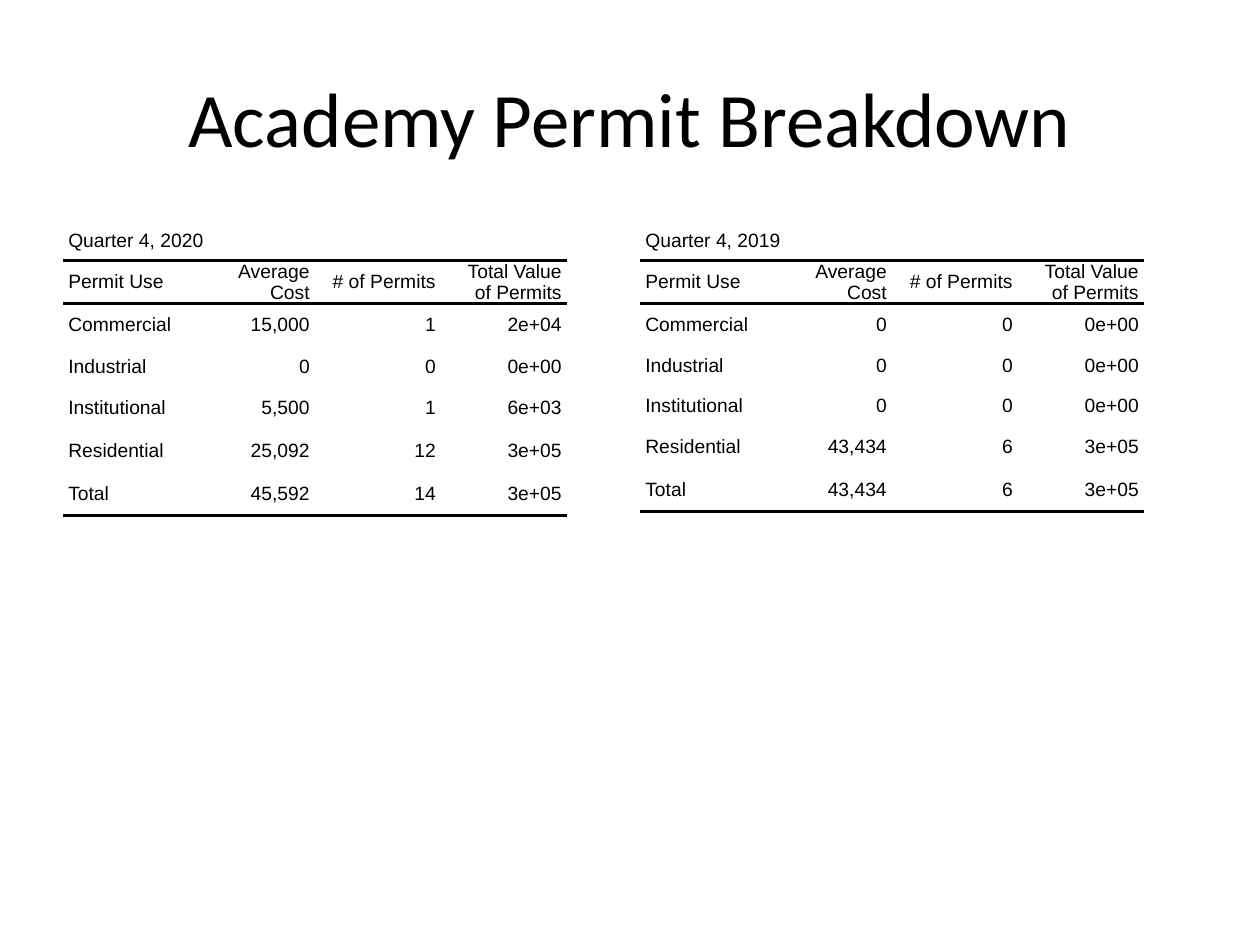
import pptx
import pptx.dml.color
import pptx.enum.text
import pptx.oxml
import pptx.oxml.ns
import pptx.util
import lxml.etree

BLACK = pptx.dml.color.RGBColor(0x00, 0x00, 0x00)
LEFT = pptx.enum.text.PP_ALIGN.LEFT
CENTER = pptx.enum.text.PP_ALIGN.CENTER
RIGHT = pptx.enum.text.PP_ALIGN.RIGHT
MIDDLE = pptx.enum.text.MSO_ANCHOR.MIDDLE
PLAIN_TABLE = "{2D5ABB26-0587-4C30-8999-92F81FD0307C}"

HEADINGS = ["Permit Use", "Average Cost", "# of Permits", "Total Value of Permits"]
PERMITS_2020 = [
    ["Commercial", "15,000", "1", "2e+04"],
    ["Industrial", "0", "0", "0e+00"],
    ["Institutional", "5,500", "1", "6e+03"],
    ["Residential", "25,092", "12", "3e+05"],
    ["Total", "45,592", "14", "3e+05"],
]
PERMITS_2019 = [
    ["Commercial", "0", "0", "0e+00"],
    ["Industrial", "0", "0", "0e+00"],
    ["Institutional", "0", "0", "0e+00"],
    ["Residential", "43,434", "6", "3e+05"],
    ["Total", "43,434", "6", "3e+05"],
]


def write(frame, text, font="Arial", size=11, color=BLACK, align=LEFT, padding=0):
    """Put one formatted paragraph in a text frame; padding is in points."""
    paragraph = frame.paragraphs[0]
    paragraph.text = text
    paragraph.alignment = align
    if padding:
        properties = paragraph._p.get_or_add_pPr()
        for side in ("marL", "marR"):
            properties.set(side, str(pptx.util.Pt(padding)))
        properties.set("indent", "0")
    paragraph.font.name = font
    paragraph.font.size = pptx.util.Pt(size)
    paragraph.font.color.rgb = color


class PermitSlide:
    """Holds the style and the slide; lengths are in tenths of the slide width."""

    title_font = "Calibri"
    title_size = 44
    cell_padding = 3
    rule_width = 2

    def __init__(self, presentation):
        self.column = presentation.slide_width / 10
        self.slide = presentation.slides.add_slide(presentation.slide_layouts[5])

    def length(self, columns):
        return pptx.util.Emu(round(self.column * columns))

    def title(self, text, *box):
        heading = self.slide.shapes.title
        heading.left, heading.top, heading.width, heading.height = map(self.length, box)
        heading.text_frame.vertical_anchor = MIDDLE
        write(heading.text_frame, text, font=self.title_font,
              size=self.title_size, align=CENTER)

    def rule(self, cell, side):
        line = pptx.oxml.parse_xml(
            f'<a:{side} {pptx.oxml.ns.nsdecls("a")} w="{pptx.util.Pt(self.rule_width)}">'
            f'<a:solidFill><a:srgbClr val="{BLACK}"/></a:solidFill></a:{side}>')
        cell._tc.get_or_add_tcPr().append(line)

    def cell(self, cell, text, align, sides):
        cell.margin_left = cell.margin_right = 0
        cell.margin_top = cell.margin_bottom = 0
        cell.vertical_anchor = MIDDLE
        for side in sides:
            self.rule(cell, side)
        cell.fill.background()
        write(cell.text_frame, text, align=align, padding=self.cell_padding)

    def permit_table(self, quarter, permits, heights, *box):
        rows = [[quarter, "", "", ""], HEADINGS] + permits
        left, top, width, height = map(self.length, box)
        frame = self.slide.shapes.add_table(
            len(rows), len(HEADINGS), left, top, width, height)
        table = frame.table
        table.first_row = table.horz_banding = False
        table._tbl.tblPr.find(pptx.oxml.ns.qn("a:tableStyleId")).text = PLAIN_TABLE

        for column in table.columns:
            column.width = self.length(1)
        for row, row_height in zip(table.rows, heights):
            row.height = self.length(row_height)
        frame.width, frame.height = width, height

        # Rules above and below the headings, and below the totals
        rules = {1: ("lnT", "lnB"), len(rows) - 1: ("lnB",)}
        for r, values in enumerate(rows):
            for c, value in enumerate(values):
                self.cell(table.cell(r, c), value, RIGHT if c else LEFT,
                          rules.get(r, ()))
        table.cell(0, 0).merge(table.cell(0, len(HEADINGS) - 1))


def main():
    presentation = pptx.Presentation()
    presentation.slide_width = pptx.util.Inches(10)
    presentation.slide_height = pptx.util.Inches(7.5)
    page = PermitSlide(presentation)

    # Title
    page.title("Academy Permit Breakdown", 0.5, 0.3, 9, 1.25)

    # The two quarters side by side
    page.permit_table("Quarter 4, 2020", PERMITS_2020,
                      [0.32, 0.32, 0.34, 0.32, 0.34, 0.34, 0.34],
                      0.5, 1.75, 4.42, 4.95)
    page.permit_table("Quarter 4, 2019", PERMITS_2019,
                      [0.32, 0.32, 0.33, 0.32, 0.32, 0.34, 0.34],
                      5.08, 1.75, 4.42, 4.95)

    presentation.save("out.pptx")


if __name__ == "__main__":
    main()
